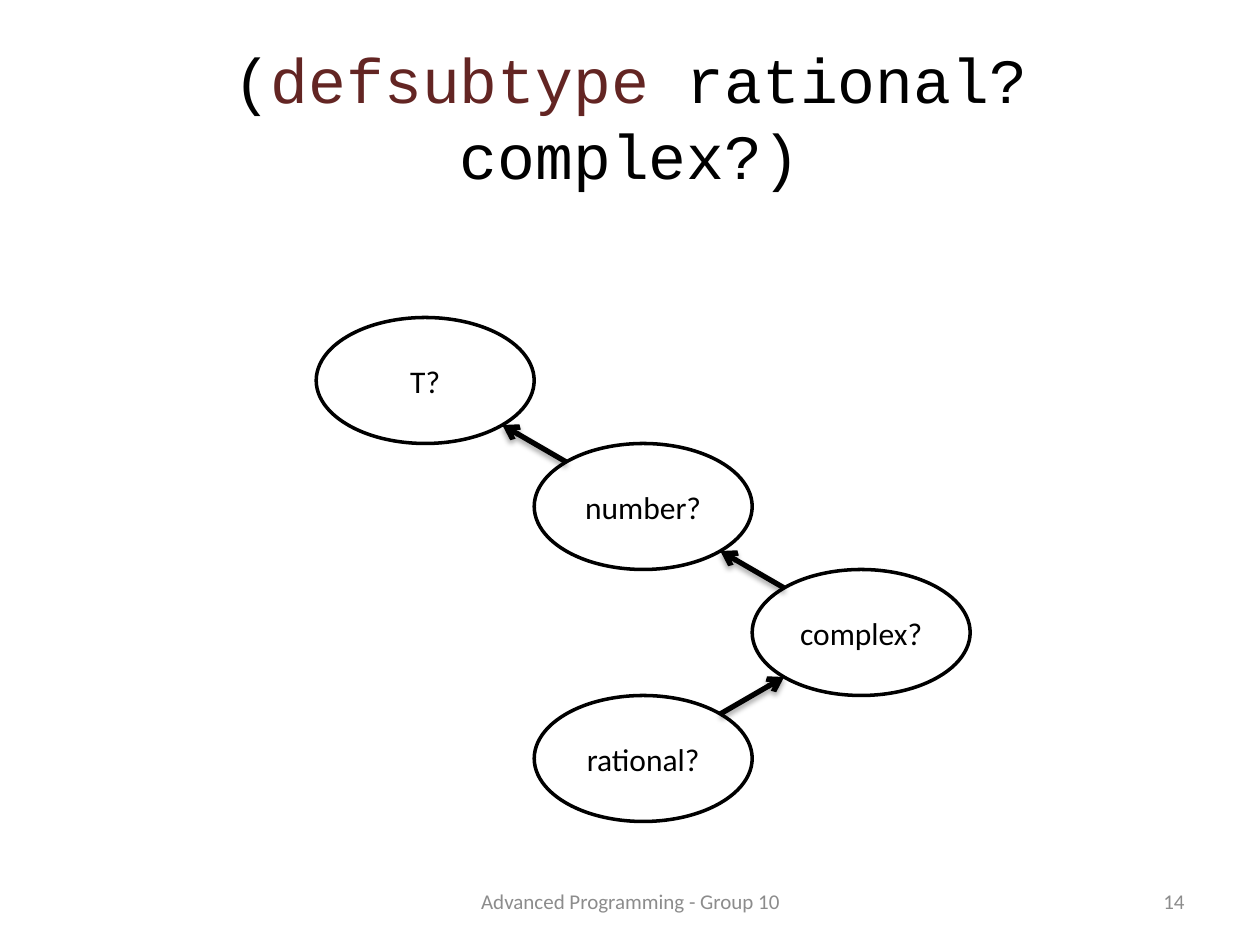
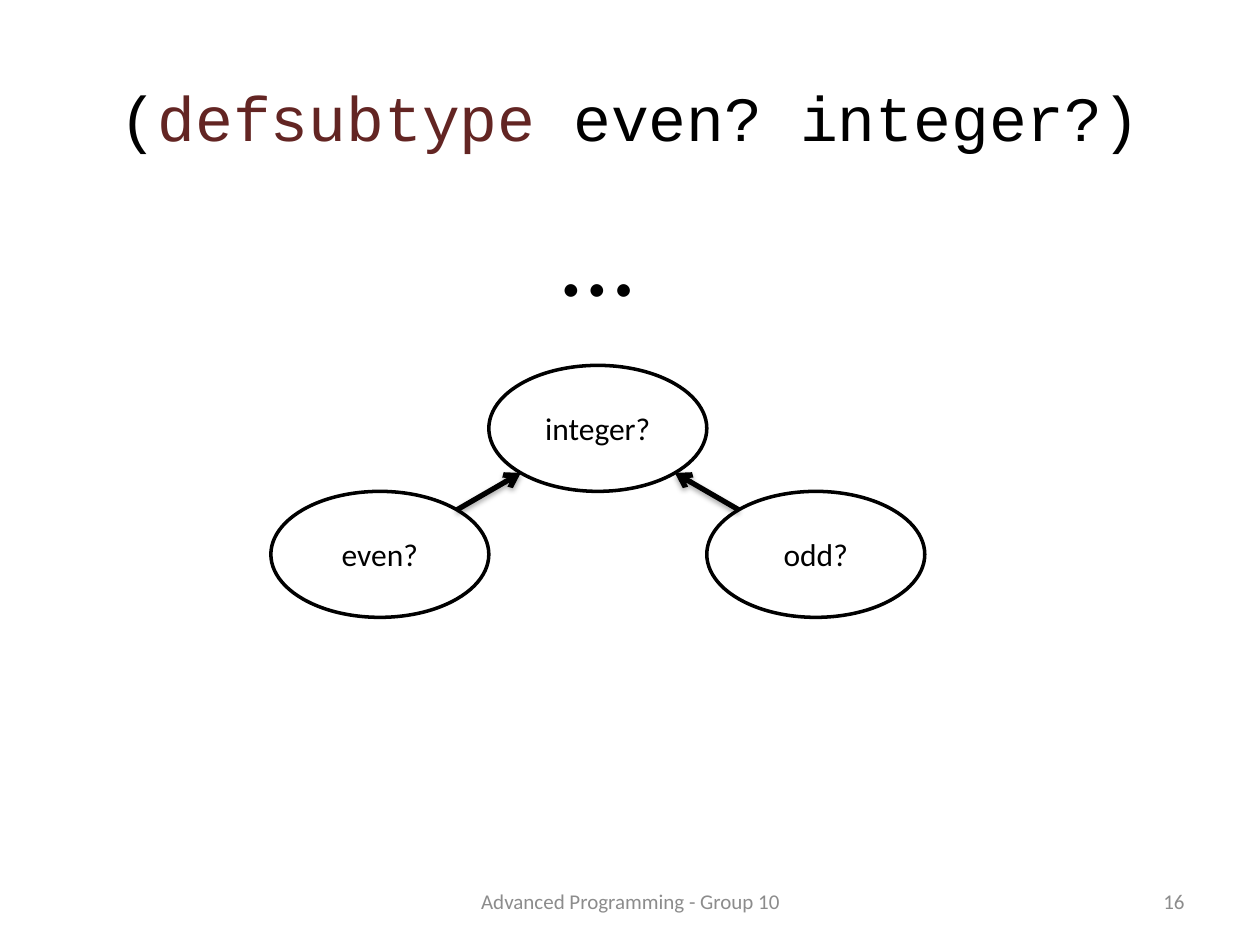
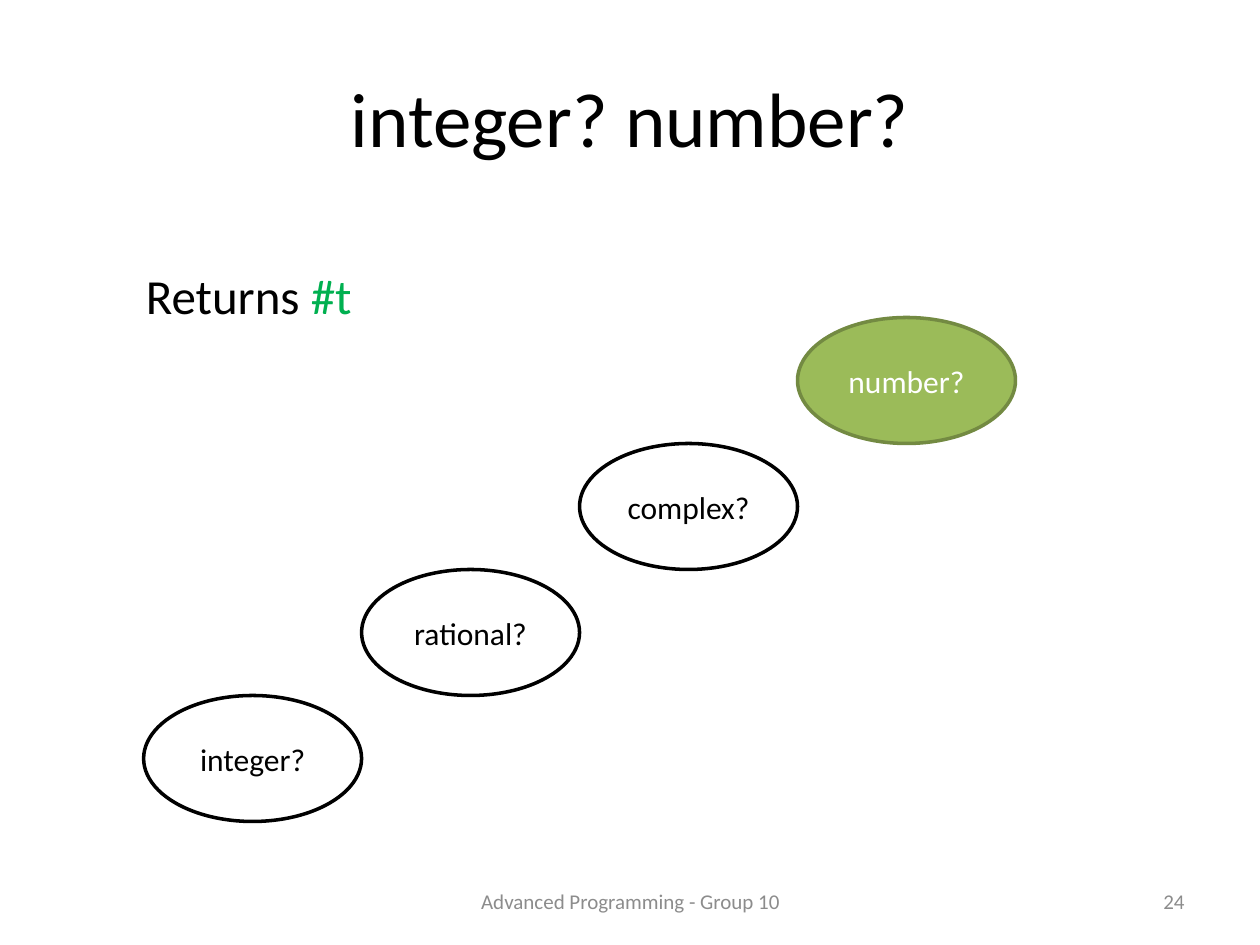
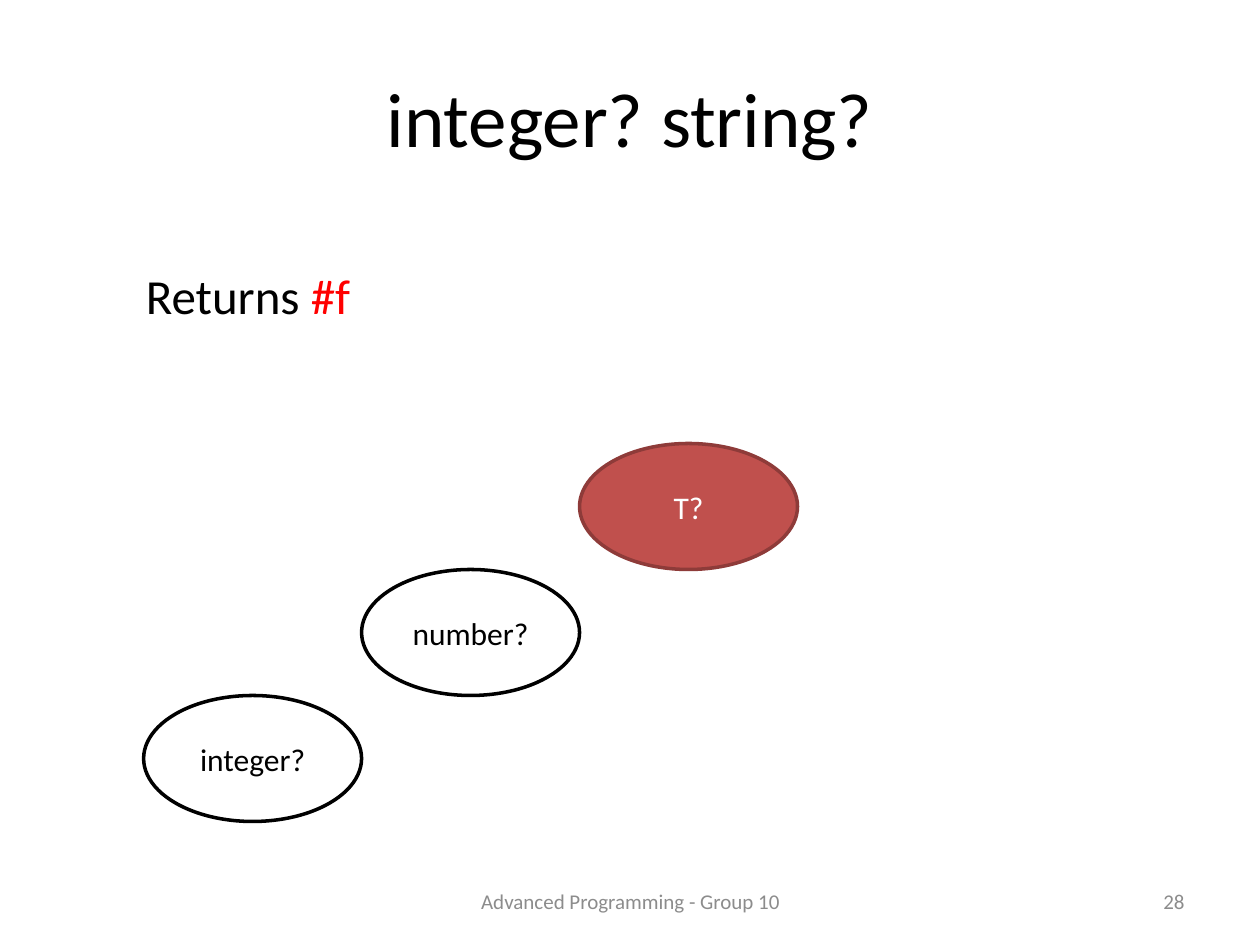
from math import cos, pi
from pptx import Presentation
from pptx.dml.color import RGBColor
from pptx.enum.shapes import MSO_CONNECTOR, MSO_SHAPE
from pptx.enum.text import MSO_ANCHOR, MSO_AUTO_SIZE, PP_ALIGN
from pptx.oxml import parse_xml
from pptx.oxml.ns import nsdecls
from pptx.util import Inches, Pt

# Shared look
SANS, MONO = "Calibri", "Courier New"
BLACK, WHITE, GREY, KEYWORD = "000000", "FFFFFF", "8C8C8C", "632523"
PLAIN = (WHITE, BLACK, BLACK)  # fill, line, text
FOUND = ("9BBB59", "738A42", WHITE)
FAILED = ("C0504D", "8E3B39", WHITE)
FOOTER = "Advanced Programming - Group 10"
NODE_W, NODE_H = 1.73, 1.0
RETURNS_BOX = (1.06, 2.06, 7.48, 0.57)
DOTS_BOX = (3.75, 1.47, 1.99, 1.11)

# Content: nodes sit on a grid of (column, row) cells measured from origin;
# each arrow leads from a subtype to its supertype
SLIDES = [
    dict(number=14, font=MONO, size=36, origin=(2.51, 2.52),
         title=[("(", BLACK), ("defsubtype", KEYWORD), (" rational? complex?)", BLACK)],
         nodes=[("T?", 0, 0, PLAIN), ("number?", 1, 1, PLAIN),
                ("complex?", 2, 2, PLAIN), ("rational?", 1, 3, PLAIN)],
         arrows=[("number?", "T?"), ("complex?", "number?"), ("rational?", "complex?")]),
    dict(number=16, font=MONO, size=36, origin=(2.15, 2.9),
         title=[("(", BLACK), ("defsubtype", KEYWORD), (" even? integer?)", BLACK)],
         nodes=[("integer?", 1, 0, PLAIN), ("odd?", 2, 1, PLAIN), ("even?", 0, 1, PLAIN)],
         arrows=[("odd?", "integer?"), ("even?", "integer?")],
         note=(DOTS_BOX, [("…", BLACK)], 60, PP_ALIGN.CENTER)),
    dict(number=24, font=SANS, size=44, origin=(1.14, 2.52),
         title=[("integer? number?", BLACK)],
         nodes=[("number?", 3, 0, FOUND), ("complex?", 2, 1, PLAIN),
                ("rational?", 1, 2, PLAIN), ("integer?", 0, 3, PLAIN)],
         note=(RETURNS_BOX, [("Returns ", BLACK), ("#t", "00B050")], 28, PP_ALIGN.LEFT)),
    dict(number=28, font=SANS, size=44, origin=(1.14, 3.52),
         title=[("integer? string?", BLACK)],
         nodes=[("T?", 2, 0, FAILED), ("number?", 1, 1, PLAIN), ("integer?", 0, 2, PLAIN)],
         note=(RETURNS_BOX, [("Returns ", BLACK), ("#f", "FF0000")], 28, PP_ALIGN.LEFT)),
]


def color(hex_code):
    return RGBColor.from_string(hex_code)


def write(frame, runs, size, align, font=SANS):
    paragraph = frame.paragraphs[0]
    paragraph.alignment = align
    paragraph.font.size, paragraph.font.name = Pt(size), font
    for text, hex_code in runs:
        run = paragraph.add_run()
        run.text = text
        run.font.color.rgb = color(hex_code)


def add_text(slide, box, runs, size, align, anchor=MSO_ANCHOR.TOP):
    frame = slide.shapes.add_textbox(*map(Inches, box)).text_frame
    frame.word_wrap = True
    frame.vertical_anchor = anchor
    write(frame, runs, size, align)
    return frame


def add_node(slide, text, center, style):
    fill, line, ink = style
    x, y = center
    node = slide.shapes.add_shape(
        MSO_SHAPE.OVAL, Inches(x - NODE_W / 2), Inches(y - NODE_H / 2),
        Inches(NODE_W), Inches(NODE_H))
    node.shadow.inherit = False
    node.fill.solid()
    node.fill.fore_color.rgb = color(fill)
    node.line.color.rgb = color(line)
    node.line.width = Pt(2)
    node.text_frame.vertical_anchor = MSO_ANCHOR.MIDDLE
    write(node.text_frame, [(text, ink)], 18, PP_ALIGN.CENTER)


def rim_point(center, toward):
    """Point on an ellipse's diagonal, on the side facing another node."""
    reach = cos(pi / 4) / 2
    return [Inches(c + (reach if t > c else -reach) * extent)
            for c, t, extent in zip(center, toward, (NODE_W, NODE_H))]


def add_arrow(slide, start, end):
    arrow = slide.shapes.add_connector(
        MSO_CONNECTOR.STRAIGHT, *rim_point(start, end), *rim_point(end, start))
    arrow.line.color.rgb = color(BLACK)
    arrow.line.width = Pt(3)
    arrow.line._get_or_add_ln().append(
        parse_xml(f'<a:tailEnd {nsdecls("a")} type="arrow"/>'))
    arrow._element.spPr.append(parse_xml(
        f'<a:effectLst {nsdecls("a")}><a:outerShdw blurRad="{Pt(3.1)}" dist="{Pt(1.8)}" '
        f'dir="5400000" rotWithShape="0"><a:srgbClr val="{BLACK}">'
        '<a:alpha val="35000"/></a:srgbClr></a:outerShdw></a:effectLst>'))


deck = Presentation()
deck.slide_width, deck.slide_height = Inches(10), Inches(7.5)
title_only = deck.slide_layouts[5]

for content in SLIDES:
    slide = deck.slides.add_slide(title_only)

    # Title
    title = slide.shapes.title
    title.left, title.top, title.width, title.height = map(Inches, (0.5, 0.3, 9, 1.25))
    title.text_frame.auto_size = MSO_AUTO_SIZE.NONE
    title.text_frame.vertical_anchor = MSO_ANCHOR.MIDDLE
    write(title.text_frame, content["title"], content["size"], PP_ALIGN.CENTER, content["font"])

    # Footer and slide number
    add_text(slide, (3.42, 6.95, 3.17, 0.4), [(FOOTER, GREY)], 12,
             PP_ALIGN.CENTER, MSO_ANCHOR.MIDDLE)
    add_text(slide, (7.17, 6.95, 2.33, 0.4), [(str(content["number"]), GREY)], 12,
             PP_ALIGN.RIGHT, MSO_ANCHOR.MIDDLE)

    # Type hierarchy
    left, top = content["origin"]
    centers = {}
    for text, column, row, style in content["nodes"]:
        centers[text] = (left + (column + 0.5) * NODE_W, top + (row + 0.5) * NODE_H)
        add_node(slide, text, centers[text], style)
    for subtype, supertype in content.get("arrows", []):
        add_arrow(slide, centers[subtype], centers[supertype])

    # Result or continuation dots
    if "note" in content:
        add_text(slide, *content["note"]).auto_size = MSO_AUTO_SIZE.SHAPE_TO_FIT_TEXT

deck.save("out.pptx")
